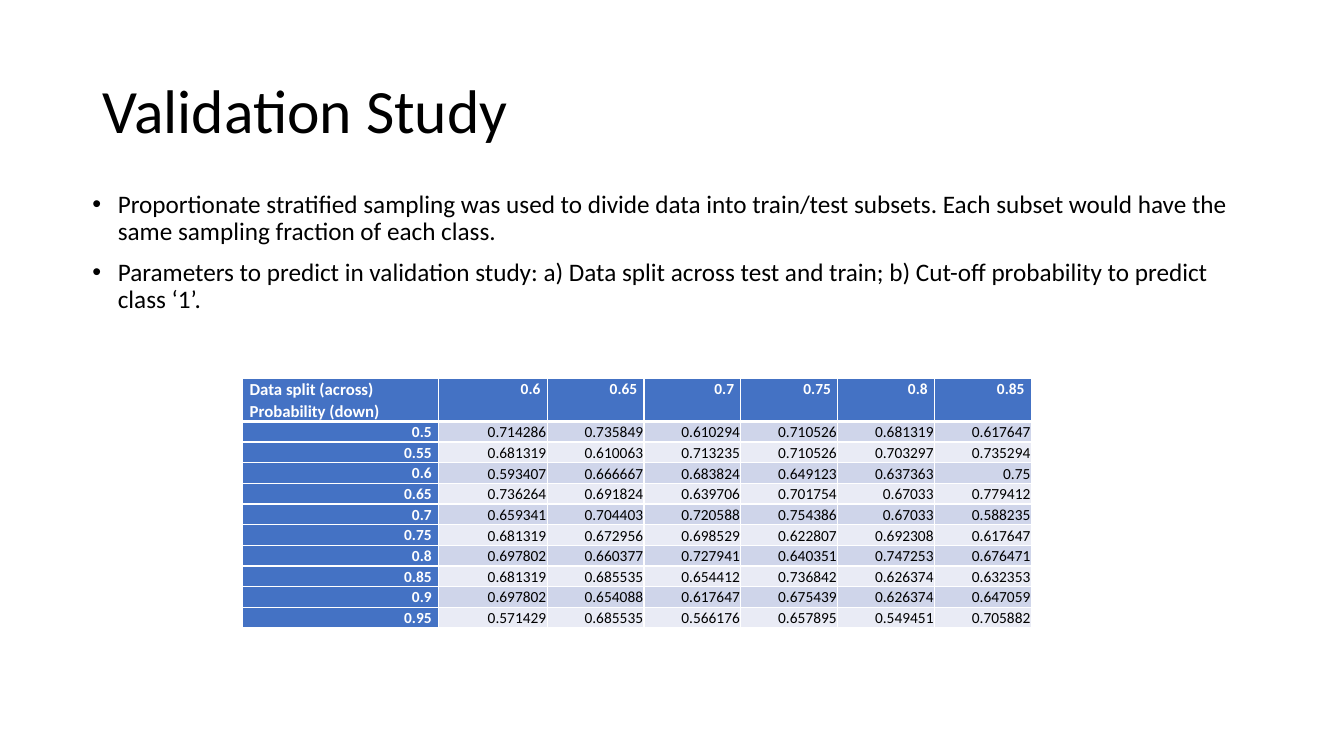
from dataclasses import dataclass

from lxml.etree import SubElement
from pptx import Presentation
from pptx.dml.color import RGBColor
from pptx.enum.text import MSO_ANCHOR as Anchor, PP_ALIGN as Align
from pptx.oxml.ns import qn
from pptx.slide import Slide
from pptx.table import _Cell as Cell
from pptx.util import Cm, Pt

FONT = "Calibri"
COLORS = {
    "text": "000000",
    "white": "FFFFFF",
    "header": "4472C4",
    "odd_row": "CFD5EA",
    "even_row": "E9EBF5",
}

TITLE = "Validation Study"
BULLETS = [
    "Proportionate stratified sampling was used to divide data into train/test subsets. "
    "Each subset would have the same sampling fraction of each class.",
    "Parameters to predict in validation study: a) Data split across test and train; "
    "b) Cut-off probability to predict class ‘1’.",
]
CORNER = "Data split (across) Probability (down)"
SPLITS = ["0.6", "0.65", "0.7", "0.75", "0.8", "0.85"]
ACCURACY = {
    "0.5": [0.714286, 0.735849, 0.610294, 0.710526, 0.681319, 0.617647],
    "0.55": [0.681319, 0.610063, 0.713235, 0.710526, 0.703297, 0.735294],
    "0.6": [0.593407, 0.666667, 0.683824, 0.649123, 0.637363, 0.75],
    "0.65": [0.736264, 0.691824, 0.639706, 0.701754, 0.67033, 0.779412],
    "0.7": [0.659341, 0.704403, 0.720588, 0.754386, 0.67033, 0.588235],
    "0.75": [0.681319, 0.672956, 0.698529, 0.622807, 0.692308, 0.617647],
    "0.8": [0.697802, 0.660377, 0.727941, 0.640351, 0.747253, 0.676471],
    "0.85": [0.681319, 0.685535, 0.654412, 0.736842, 0.626374, 0.632353],
    "0.9": [0.697802, 0.654088, 0.617647, 0.675439, 0.626374, 0.647059],
    "0.95": [0.571429, 0.685535, 0.566176, 0.657895, 0.549451, 0.705882],
}
COLUMN_WIDTHS = [4.93, 2.74] + [2.44] * 5
HEADER_HEIGHT, ROW_HEIGHT = 1.09, 0.52


@dataclass(frozen=True)
class CellStyle:
    fill: str
    color: str = "white"
    bold: bool = True
    size: int = 11
    align: Align = Align.RIGHT
    anchor: Anchor = Anchor.TOP
    side_margin: float = 0.17
    top_margin: float = 0
    line_spacing: float = 1.07
    space_after: int = 8


def value_style(fill: str) -> CellStyle:
    return CellStyle(fill, color="text", bold=False, anchor=Anchor.BOTTOM,
                     side_margin=0.02, top_margin=0.02, line_spacing=1, space_after=0)


HEADER = CellStyle("header")
CORNER_STYLE = CellStyle("header", size=12, align=Align.LEFT)
ROW_STYLES = [value_style("odd_row"), value_style("even_row")]


def rgb(name: str) -> RGBColor:
    return RGBColor.from_string(COLORS[name])


def format_font(paragraph, size: int, color: str = "text", bold: bool = False) -> None:
    font = paragraph.font
    font.name, font.size, font.bold = FONT, Pt(size), bold
    font.color.rgb = rgb(color)


def add_title(slide: Slide) -> None:
    title = slide.shapes.title
    title.left, title.top, title.width, title.height = Cm(2.33), Cm(1.01), Cm(29.21), Cm(3.68)
    title.text_frame.text = TITLE
    title.text_frame.vertical_anchor = Anchor.MIDDLE
    paragraph = title.text_frame.paragraphs[0]
    paragraph.alignment, paragraph.line_spacing = Align.LEFT, 0.9
    format_font(paragraph, 44)


def add_bullets(slide: Slide) -> None:
    box = slide.shapes.add_textbox(Cm(2.08), Cm(4.7), Cm(29.21), Cm(12.09))
    frame = box.text_frame
    frame.word_wrap = True
    frame.text = "\n".join(BULLETS)
    for paragraph in frame.paragraphs:
        paragraph.line_spacing, paragraph.space_before = 0.9, Pt(10)
        format_font(paragraph, 18)
        properties = paragraph._p.get_or_add_pPr()
        properties.set("marL", str(Cm(0.64)))
        properties.set("indent", str(-Cm(0.64)))
        SubElement(properties, qn("a:buFont"), typeface="Arial")
        SubElement(properties, qn("a:buChar"), char="•")
        properties.append(properties.find(qn("a:defRPr")))


def set_borders(cell: Cell, top: int, bottom: int) -> None:
    """Draw white borders; the top and bottom widths are in points."""
    properties = cell._tc.get_or_add_tcPr()
    for side, width in {"L": 1, "R": 1, "T": top, "B": bottom}.items():
        line = SubElement(properties, qn(f"a:ln{side}"), w=str(Pt(width)))
        SubElement(SubElement(line, qn("a:solidFill")), qn("a:srgbClr"), val=COLORS["white"])


def fill_cell(cell: Cell, text: str, style: CellStyle) -> None:
    cell.text = text
    cell.margin_left = cell.margin_right = Cm(style.side_margin)
    cell.margin_top, cell.margin_bottom = Cm(style.top_margin), 0
    cell.vertical_anchor = style.anchor
    cell.fill.solid()
    cell.fill.fore_color.rgb = rgb(style.fill)
    paragraph = cell.text_frame.paragraphs[0]
    paragraph.alignment = style.align
    paragraph.line_spacing = style.line_spacing
    paragraph.space_after = Pt(style.space_after)
    format_font(paragraph, style.size, style.color, style.bold)


def add_accuracy_table(slide: Slide) -> None:
    rows = [[CORNER, *SPLITS]]
    rows += [[cutoff, *map(str, values)] for cutoff, values in ACCURACY.items()]
    heights = [HEADER_HEIGHT] + [ROW_HEIGHT] * len(ACCURACY)
    table = slide.shapes.add_table(len(rows), len(COLUMN_WIDTHS), Cm(6.12), Cm(9.53),
                                   Cm(sum(COLUMN_WIDTHS)), Cm(sum(heights))).table
    table.first_col = True
    for column, width in zip(table.columns, COLUMN_WIDTHS):
        column.width = Cm(width)
    for row_index, (row, height) in enumerate(zip(rows, heights)):
        table.rows[row_index].height = Cm(height)
        for column_index, text in enumerate(row):
            if row_index == column_index == 0:
                style = CORNER_STYLE
            elif row_index == 0 or column_index == 0:
                style = HEADER
            else:
                style = ROW_STYLES[(row_index - 1) % 2]
            cell = table.cell(row_index, column_index)
            set_borders(cell, top=3 if row_index == 1 else 1, bottom=3 if row_index == 0 else 1)
            fill_cell(cell, text, style)


def main() -> None:
    presentation = Presentation()
    presentation.slide_width, presentation.slide_height = Cm(33.87), Cm(19.05)
    slide = presentation.slides.add_slide(presentation.slide_layouts[5])
    add_title(slide)
    add_bullets(slide)
    add_accuracy_table(slide)
    presentation.save("out.pptx")


if __name__ == "__main__":
    main()
